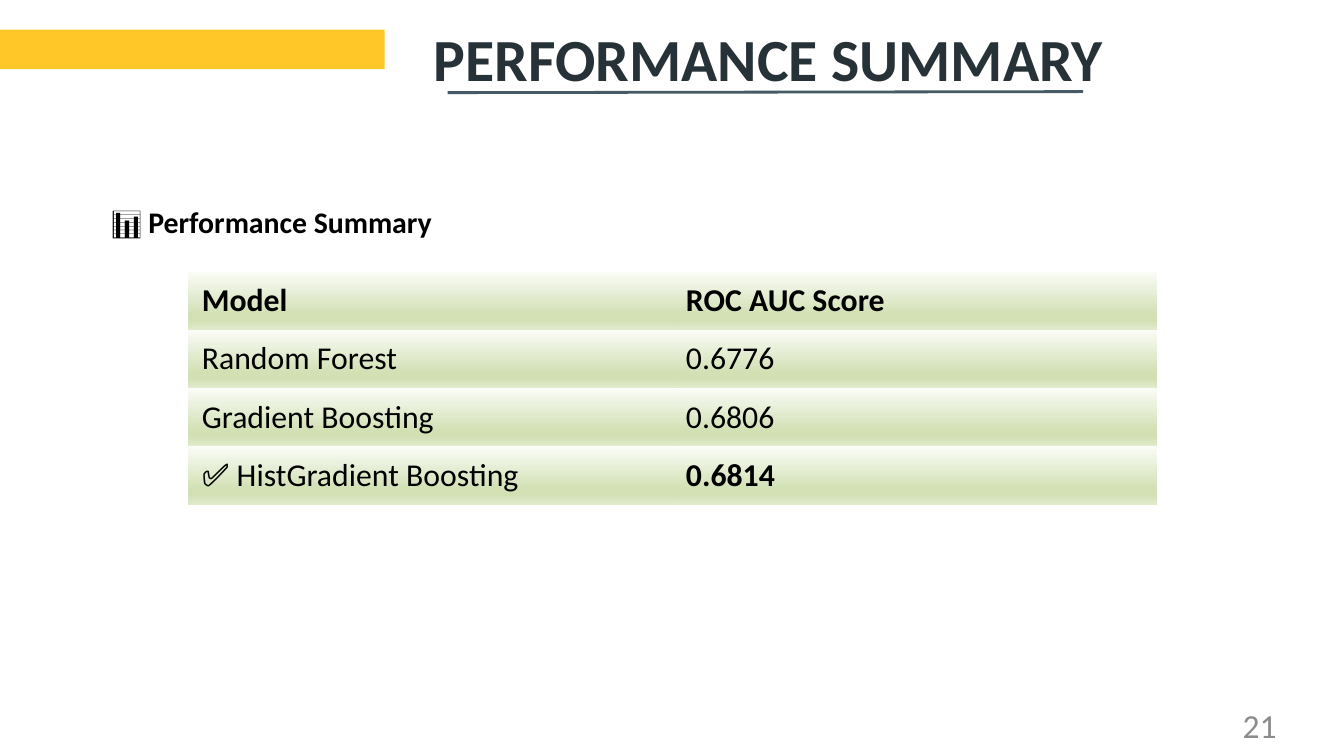
"""Build the performance summary slide."""
from pptx import Presentation
from pptx.dml.color import RGBColor as Rgb
from pptx.enum.shapes import MSO_CONNECTOR as Conn, MSO_SHAPE as Kind
from pptx.enum.text import MSO_ANCHOR as Anchor, MSO_AUTO_SIZE as Auto, PP_ALIGN as Align
from pptx.oxml import parse_xml
from pptx.oxml.ns import nsdecls
from pptx.util import Cm, Pt

HUES = {
    "title": "263238", "bar": "FFC727", "rule": "455A64",
    "text": "000000", "page": "8C8C8C",
}
STOPS = {0: "FAFCF7", 74: "D2E0B4", 83: "D2E0B4", 100: "E1EBCD"}
ROWS = [
    ("Model", "ROC AUC Score"),
    ("Random Forest", "0.6776"),
    ("Gradient Boosting", "0.6806"),
    ("✅ HistGradient Boosting", "0.6814"),
]
BOLD = {(0, 0), (0, 1), (3, 1)}


def apply(item, **vals):
    for name, val in vals.items():
        setattr(item, name, val)


def style(frame, text, size, hue, bold=False, **para):
    frame.text = text
    line = frame.paragraphs[0]
    apply(line, **para)
    apply(line.font, name="Calibri", size=Pt(size), bold=bold)
    line.font.color.rgb = Rgb.from_string(HUES[hue])


def fit(frame):
    apply(frame, margin_left=0, margin_right=0, margin_top=Cm(0.03), margin_bottom=0,
          word_wrap=True, auto_size=Auto.NONE, vertical_anchor=Anchor.TOP)


def add_title(slide, text):
    title = slide.shapes.title
    apply(title, left=Cm(8.2), top=Cm(0.38), width=Cm(17.98), height=Cm(1.4))
    fit(title.text_frame)
    style(title.text_frame, text, 32, "title", True, alignment=Align.LEFT)


def add_text(slide, box, text, size, hue, bold=False, **para):
    frame = slide.shapes.add_textbox(*map(Cm, box)).text_frame
    fit(frame)
    style(frame, text, size, hue, bold, **para)


def add_bar(slide, box):
    bar = slide.shapes.add_shape(Kind.RECTANGLE, *map(Cm, box))
    bar.shadow.inherit = False
    bar.fill.solid()
    bar.fill.fore_color.rgb = Rgb.from_string(HUES["bar"])
    bar.line.fill.background()


def add_rule(slide, ends):
    rule = slide.shapes.add_connector(Conn.STRAIGHT, *map(Cm, ends))
    rule.line.width = Pt(1.5)
    rule.line.color.rgb = Rgb.from_string(HUES["rule"])
    rule._element.spPr.append(parse_xml(f"<a:effectLst {nsdecls('a')}/>"))


def shade(cell):
    stops = "".join(
        f'<a:gs pos="{pos * 1000}"><a:srgbClr val="{hue}"/></a:gs>'
        for pos, hue in STOPS.items())
    cell._tc.get_or_add_tcPr().append(parse_xml(
        f'<a:gradFill {nsdecls("a")} rotWithShape="1"><a:gsLst>{stops}</a:gsLst>'
        '<a:lin ang="5400000" scaled="0"/></a:gradFill>'))


def add_scores(slide, box):
    table = slide.shapes.add_table(len(ROWS), len(ROWS[0]), *map(Cm, box)).table
    apply(table, first_row=False, horz_banding=False)
    table._tbl.tblPr.find("{*}tableStyleId").text = "{2D5ABB26-0587-4C30-8999-92F81FD0307C}"
    for r, row in enumerate(ROWS):
        for c, text in enumerate(row):
            cell = table.cell(r, c)
            cell.vertical_anchor = Anchor.MIDDLE
            style(cell.text_frame, text, 17, "text", (r, c) in BOLD)
            shade(cell)


def main():
    deck = Presentation()
    apply(deck, slide_width=Cm(25.4), slide_height=Cm(14.28))
    slide = deck.slides.add_slide(deck.slide_layouts[5])
    add_title(slide, "PERFORMANCE SUMMARY")
    add_bar(slide, (0, 0.56, 7.27, 0.75))
    add_text(slide, (2.11, 3.48, 20.19, 3.91), "📊 Performance Summary", 16, "text", True,
             alignment=Align.JUSTIFY, line_spacing=1.5)
    add_text(slide, (18.29, 13.28, 5.84, 0.71), "21", 18, "page", alignment=Align.RIGHT)
    add_rule(slide, (8.46, 1.75, 20.47, 1.73))
    add_scores(slide, (3.56, 5.13, 18.3, 4.4))
    deck.save("out.pptx")


if __name__ == "__main__":
    main()
